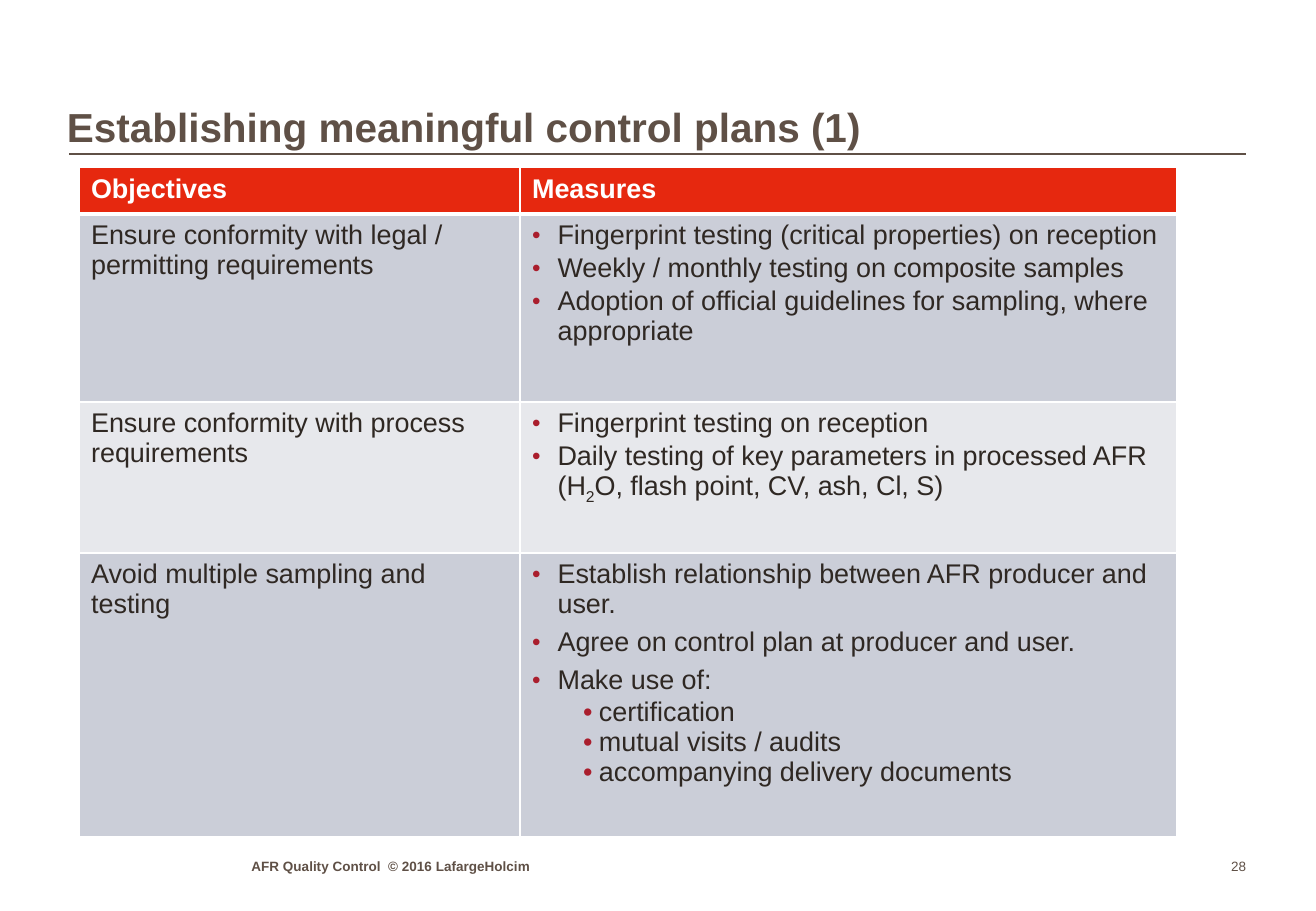
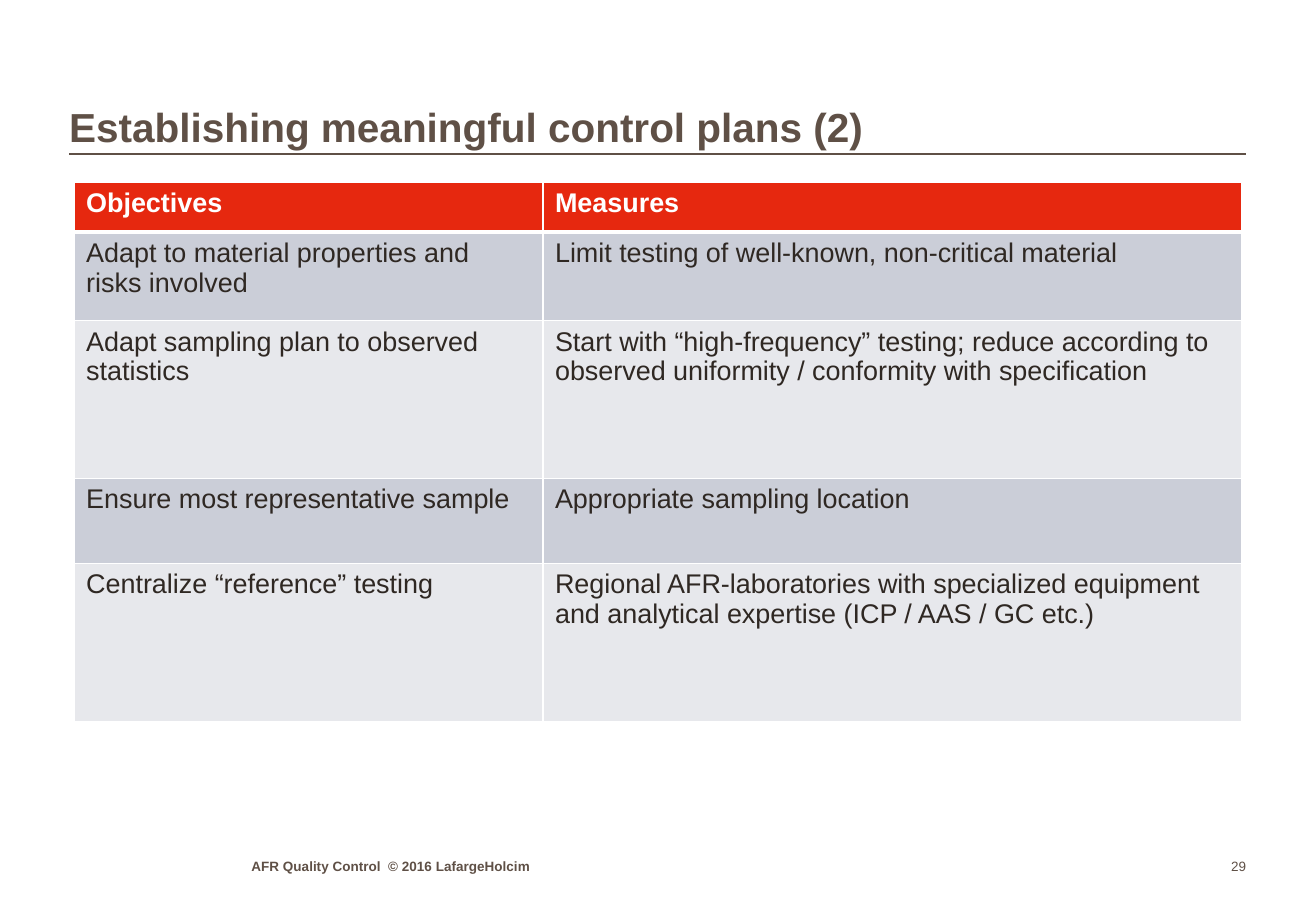
from lxml import etree
from pptx import Presentation
from pptx.dml.color import RGBColor
from pptx.enum.shapes import MSO_CONNECTOR
from pptx.enum.text import MSO_ANCHOR, PP_ALIGN
from pptx.oxml.ns import qn
from pptx.util import Pt

FONT = "Arial"
COLORS = {
    "brown": "5F5046",
    "text": "2F2823",
    "white": "FFFFFF",
    "header": "E6280F",
    "bullet": "AA1E2D",
    "odd_row": "CBCED8",
    "even_row": "E7E8EC",
}
FOOTER = "AFR Quality Control  © 2016 LafargeHolcim"

# Left margin, hanging indent, space before, space after, bullet size in percent
PARAGRAPH_STYLES = {
    "plain": (0, 0, 0, 0, None),
    "bullet": (15.1, 15.1, 1.8, 0, 90),
    "spaced": (15.1, 15.1, 3.2, 1.6, 90),
    "sub": (39.6, 9.4, 0, 0, 100),
}

SLIDES = [
    {
        "title": "Establishing meaningful control plans (1)",
        "title_left": 39.6,
        "number": "28",
        "table_at": (46.8, 99.4),
        "columns": (261.4, 389.5),
        "heights": (27.4, 111.6, 89.3, 168.5),
        "rows": [
            ("Ensure conformity with legal / permitting requirements", [
                ("bullet", "Fingerprint testing (critical properties) on reception"),
                ("bullet", "Weekly / monthly testing on composite samples"),
                ("bullet", "Adoption of official guidelines for sampling, where appropriate"),
            ]),
            ("Ensure conformity with process requirements", [
                ("bullet", "Fingerprint testing on reception"),
                ("bullet", "Daily testing of key parameters in processed AFR "
                           "(H~2~O, flash point, CV, ash, Cl, S)"),
            ]),
            ("Avoid multiple sampling and testing", [
                ("spaced", "Establish relationship between AFR producer and user."),
                ("spaced", "Agree on control plan at producer and user."),
                ("spaced", "Make use of:"),
                ("sub", "certification"),
                ("sub", "mutual visits / audits"),
                ("sub", "accompanying delivery documents"),
            ]),
        ],
    },
    {
        "title": "Establishing meaningful control plans (2)",
        "title_left": 41,
        "number": "29",
        "table_at": (43.9, 108),
        "columns": (277.9, 414),
        "heights": (29.5, 52.6, 93.6, 50.4, 93.6),
        "rows": [
            ("Adapt to material properties and risks involved",
             [("plain", "Limit testing of well-known, non-critical material")]),
            ("Adapt sampling plan to observed statistics",
             [("plain", "Start with “high-frequency” testing; reduce according to "
                        "observed uniformity / conformity with specification")]),
            ("Ensure most representative sample",
             [("plain", "Appropriate sampling location")]),
            ("Centralize “reference” testing",
             [("plain", "Regional AFR-laboratories with specialized equipment "
                        "and analytical expertise (ICP / AAS / GC etc.)")]),
        ],
    },
]


def add_text(slide, text, box, size, bold=False, align=PP_ALIGN.LEFT):
    """Add a bottom-anchored brown text line without insets and return its paragraph."""
    shape = slide.shapes.add_textbox(*map(Pt, box))
    frame = shape.text_frame
    frame.word_wrap = True
    frame.vertical_anchor = MSO_ANCHOR.BOTTOM
    frame.margin_left = frame.margin_right = frame.margin_top = frame.margin_bottom = 0
    paragraph = frame.paragraphs[0]
    paragraph.text = text
    paragraph.alignment = align
    font = paragraph.font
    font.name, font.size, font.bold = FONT, Pt(size), bold
    font.color.rgb = RGBColor.from_string(COLORS["brown"])
    return paragraph


def fill_cell(cell, entries, fill, color, bold, borders):
    """Write (style, text) entries into a cell; text between ~ marks is subscript."""
    properties = cell._tc.get_or_add_tcPr()
    for side, width in zip("LRTB", borders):
        line = etree.SubElement(properties, qn(f"a:ln{side}"), w=str(Pt(width)))
        solid = etree.SubElement(line, qn("a:solidFill"))
        etree.SubElement(solid, qn("a:srgbClr"), val=COLORS["white"])
    cell.fill.solid()
    cell.fill.fore_color.rgb = RGBColor.from_string(COLORS[fill])

    frame = cell.text_frame
    for index, (style, text) in enumerate(entries):
        paragraph = frame.add_paragraph() if index else frame.paragraphs[0]
        for piece_index, piece in enumerate(text.split("~")):
            run = paragraph.add_run()
            run.text = piece
            if piece_index % 2:
                run._r.get_or_add_rPr().set("baseline", "-25000")

        margin, hanging, before, after, bullet_size = PARAGRAPH_STYLES[style]
        if bullet_size:
            layout = paragraph._p.get_or_add_pPr()
            layout.set("marL", str(Pt(margin)))
            layout.set("indent", str(-Pt(hanging)))
            bullet_color = etree.SubElement(layout, qn("a:buClr"))
            etree.SubElement(bullet_color, qn("a:srgbClr"), val=COLORS["bullet"])
            etree.SubElement(layout, qn("a:buSzPct"), val=str(bullet_size * 1000))
            etree.SubElement(layout, qn("a:buFont"), typeface=FONT)
            etree.SubElement(layout, qn("a:buChar"), char="•")
        paragraph.space_before = Pt(before if index else 0)
        paragraph.space_after = Pt(after)
        font = paragraph.font
        font.name, font.size, font.bold = FONT, Pt(16), bold
        font.color.rgb = RGBColor.from_string(COLORS[color])


presentation = Presentation()
presentation.slide_width, presentation.slide_height = Pt(780), Pt(540)

for content in SLIDES:
    slide = presentation.slides.add_slide(presentation.slide_layouts[6])

    title_rule = slide.shapes.add_connector(
        MSO_CONNECTOR.STRAIGHT, Pt(41), Pt(91.4), Pt(738.7), Pt(91.4))
    title_rule.line.width = Pt(1)
    title_rule.line.color.rgb = RGBColor.from_string(COLORS["brown"])
    etree.SubElement(title_rule._element.spPr, qn("a:effectLst"))

    rows = [("Objectives", [("plain", "Measures")])] + content["rows"]
    table = slide.shapes.add_table(
        len(rows), 2, *map(Pt, content["table_at"]),
        Pt(sum(content["columns"])), Pt(sum(content["heights"]))).table
    for column, width in zip(table.columns, content["columns"]):
        column.width = Pt(width)
    for row_index, (objective, measures) in enumerate(rows):
        table.rows[row_index].height = Pt(content["heights"][row_index])
        is_header = row_index == 0
        if is_header:
            fill, color = "header", "white"
        else:
            fill, color = ("odd_row" if row_index % 2 else "even_row"), "text"
        borders = (1, 1, 3 if row_index == 1 else 1, 3 if is_header else 1)
        for column_index, entries in enumerate(([("plain", objective)], measures)):
            fill_cell(table.cell(row_index, column_index), entries,
                      fill, color, is_header, borders)

    title = add_text(slide, content["title"],
                     (content["title_left"], 28, 691, 62), 24, bold=True)
    title.line_spacing = 0.95
    add_text(slide, FOOTER, (149, 505.4, 250, 13), 8, bold=True)
    add_text(slide, content["number"], (704.9, 505.4, 33.8, 13), 8, align=PP_ALIGN.RIGHT)

presentation.save("out.pptx")
